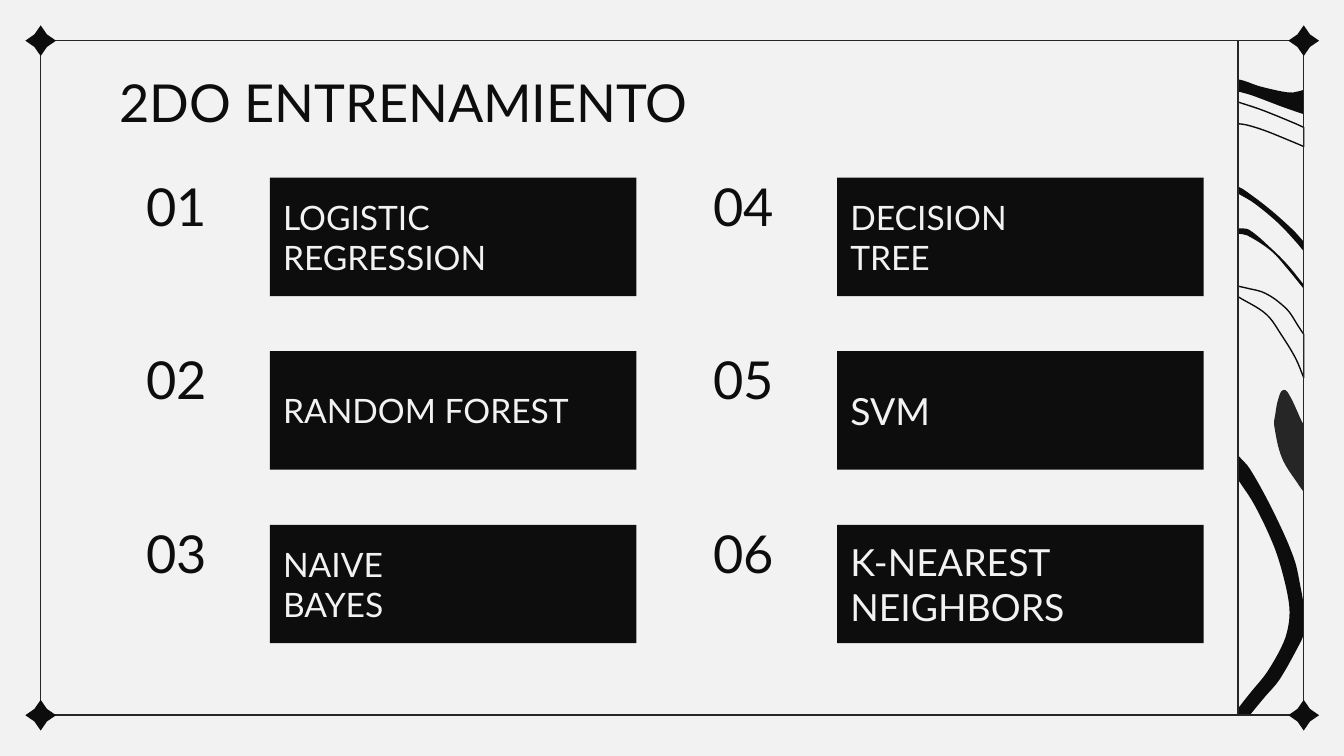
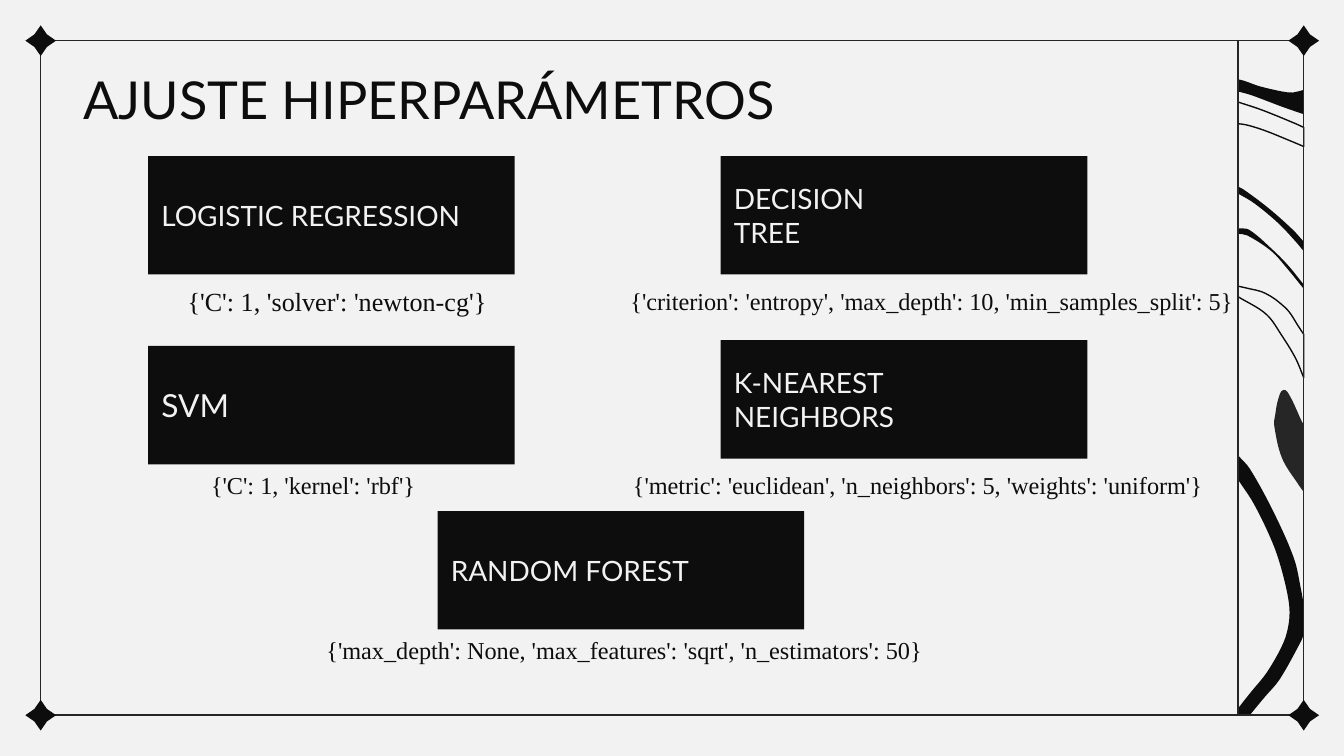
from dataclasses import dataclass
from math import dist
from lxml.etree import SubElement as Sub
from pptx import Presentation
from pptx.dml.color import RGBColor as RGB
from pptx.enum.shapes import MSO_SHAPE as Shape
from pptx.enum.text import MSO_ANCHOR as Anchor, PP_ALIGN as Align
from pptx.oxml.ns import qn
from pptx.util import Cm, Pt


@dataclass(frozen=True)
class Theme:
    paper: RGB = RGB(0xF2, 0xF2, 0xF2)
    ink: RGB = RGB(0x0D, 0x0D, 0x0D)
    gray: RGB = RGB(0x26, 0x26, 0x26)
    sans: str = "Lato"
    serif: str = "Times New Roman"
    head: int = 28
    hair: float = 0.75


T = Theme()
HEAD = {"name": T.sans, "size": Pt(T.head)}
INSET = {f"margin_{side}": Cm(0.25) for side in ("left", "top", "right", "bottom")}
CARD = (6.93, 2.24)


def put(slide, text, at, font, card=False, align=Align.LEFT, anchor=Anchor.MIDDLE):
    """Add text at (left, top, width, height) in cm, on a dark card if asked."""
    spot = [Cm(n) for n in at]
    if card:
        box = slide.shapes.add_shape(Shape.RECTANGLE, *spot)
        box.shadow.inherit = False
        box.fill.solid()
        box.fill.fore_color.rgb = T.ink
        box.line.fill.background()
    else:
        box = slide.shapes.add_textbox(*spot)
    frame = box.text_frame
    for key, value in {**INSET, "word_wrap": True, "vertical_anchor": anchor}.items():
        setattr(frame, key, value)
    frame.text = text
    for para in frame.paragraphs:
        para.alignment = align
        for key, value in font.items():
            setattr(para.font, key, value)
        para.font.color.rgb = T.paper if card else T.ink


def bend(shape, edges):
    """Turn the lines within each edge into cubic curves; edges meet in corners."""
    lines = list(shape.element.iter(qn("a:lnTo")))
    first = 0
    for edge in edges:
        ends = [edge[0], *edge, edge[-1]]
        for i, (a, b, c, d) in enumerate(zip(ends, ends[1:], ends[2:], ends[3:])):
            reach = dist(b, c) / 3
            out, back = reach / dist(a, c), reach / dist(b, d)
            knots = [
                (b[0] + (c[0] - a[0]) * out, b[1] + (c[1] - a[1]) * out),
                (c[0] - (d[0] - b[0]) * back, c[1] - (d[1] - b[1]) * back),
                c,
            ]
            line = lines[first + i]
            line.getparent().replace(line, cubic := line.makeelement(qn("a:cubicBezTo")))
            for x, y in knots:
                Sub(cubic, qn("a:pt"), x=str(Cm(x) - shape.left), y=str(Cm(y) - shape.top))
        first += len(edge)


deck = Presentation()
deck.slide_width, deck.slide_height = Cm(25.4), Cm(14.29)
blank = deck.slide_layouts[6]
for holder in list(blank.placeholders):
    holder.element.getparent().remove(holder.element)
blank.background.fill.solid()
blank.background.fill.fore_color.rgb = T.paper
train = deck.slides.add_slide(blank)
tune = deck.slides.add_slide(blank)

# Shared border: each ribbon is (fill, line, edges), in cm
LEFT, TOP, RIGHT, BASE = 0.77, 0.77, 24.64, 13.52
BAND = 23.4
RIBBONS = [
    (T.ink, None, [
        [(BAND, 1.5), (23.52, 1.53), (23.8, 1.63), (24.23, 1.73), (24.43, 1.75), (RIGHT, 1.7)],
        [(RIGHT, 2.16), (24.26, 2.03), (23.65, 1.8), (BAND, 1.73)]]),
    (None, T.ink, [
        [(BAND, 1.93), (23.85, 2.08), (24.49, 2.34), (RIGHT, 2.41)],
        [(RIGHT, 2.77), (24.33, 2.64), (23.88, 2.46), (23.55, 2.36), (BAND, 2.34)]]),
    (T.ink, None, [
        [(BAND, 3.53), (23.5, 3.58), (23.98, 3.94), (24.43, 4.34), (RIGHT, 4.57)],
        [(RIGHT, 4.75), (24.49, 4.57), (24.16, 4.22), (23.7, 3.84), (BAND, 3.66)]]),
    (T.ink, None, [
        [(BAND, 4.32), (23.6, 4.34), (24.03, 4.7), (24.33, 5), (RIGHT, 5.38)],
        [(RIGHT, 5.46), (24.33, 5.08), (24.03, 4.75), (23.57, 4.45), (BAND, 4.42)]]),
    (None, T.ink, [
        [(BAND, 5.41), (23.62, 5.46), (23.83, 5.51), (24.03, 5.61), (24.18, 5.72),
         (24.36, 5.89), (24.54, 6.17), (RIGHT, 6.32)],
        [(RIGHT, 7.14), (24.49, 6.78), (24.23, 6.35), (23.93, 5.94), (BAND, 5.61)]]),
    (T.ink, None, [
        [(BAND, 8.61), (23.62, 8.86), (24.08, 9.7), (24.46, 10.57), (24.59, 11.15),
         (RIGHT, 11.43)],
        [(RIGHT, 11.99), (24.59, 12.12), (24.18, 12.85), (23.9, 13.18), (23.62, BASE)],
        [(BAND, BASE)],
        [(BAND, 13.39), (23.62, 13.11), (23.95, 12.7), (24.26, 12.14), (24.36, 11.76),
         (24.36, 11.4), (24.23, 10.8), (24.05, 10.26), (23.7, 9.53), (BAND, 9.07)]]),
    (T.gray, None, [
        [(RIGHT, 9.3), (24.56, 9.19), (24.23, 8.66), (24.08, 8.03), (24.1, 7.85),
         (24.16, 7.54), (24.26, 7.37), (24.38, 7.49), (24.61, 7.98), (RIGHT, 8.02)]]),
]
border = train.shapes.add_group_shape()
parts = []


frame = border.shapes.add_shape(
    Shape.RECTANGLE, Cm(LEFT), Cm(TOP), Cm(RIGHT - LEFT), Cm(BASE - TOP))
parts.append((frame, None, T.gray))
for fill, line, edges in RIBBONS:
    dots = [(Cm(x), Cm(y)) for edge in edges for x, y in edge]
    pen = border.shapes.build_freeform(*dots[0])
    pen.add_line_segments(dots[1:], close=True)
    ribbon = pen.convert_to_shape()
    bend(ribbon, edges)
    parts.append((ribbon, fill, line))
strip = border.shapes.add_shape(
    Shape.RECTANGLE, Cm(BAND), Cm(TOP), Cm(RIGHT - BAND), Cm(BASE - TOP))
parts.append((strip, None, T.gray))
STAR = 0.58
for x in (RIGHT, LEFT):
    for y in (TOP, BASE):
        star = border.shapes.add_shape(
            Shape.STAR_4_POINT, Cm(x - STAR / 2), Cm(y - STAR / 2), Cm(STAR), Cm(STAR))
        star.adjustments[0] = 0.29
        parts.append((star, T.ink, None))
for part, fill, line in parts:
    part.shadow.inherit = False
    for paint, tint in ((part.fill, fill), (part.line.fill, line)):
        if tint is None:
            paint.background()
        else:
            paint.solid()
            paint.fore_color.rgb = tint
    if line is not None:
        part.line.width = Pt(T.hair)
blank.shapes.element.append(border.element)

# Slide 1: numbered models, filled column by column
put(train, "2DO ENTRENAMIENTO", (2.01, 1.07, 20.73, 1.65), HEAD, anchor=Anchor.TOP)
MODELS = [
    ("LOGISTIC REGRESSION", 18), ("RANDOM FOREST", 18), ("NAIVE\nBAYES", 18),
    ("DECISION\nTREE", 18), ("SVM", 20), ("K-NEAREST\nNEIGHBORS", 20),
]
for i, (name, size) in enumerate(MODELS):
    col, row = divmod(i, 3)
    x, y = 2 + col * 10.72, 3.15 + row * 3.28
    put(train, f"{i + 1:02}", (x, y, 2.67, 1.47), HEAD, align=Align.CENTER)
    put(train, name, (x + 3.1, y + 0.21, *CARD), {"name": T.sans, "size": Pt(size)}, card=True)

# Slide 2: each model with its best settings below
put(tune, "AJUSTE HIPERPARÁMETROS", (1.33, 1.03, 21.21, 1.65), HEAD, anchor=Anchor.TOP)
MID, START = Align.CENTER, Align.LEFT
TUNED = [
    ("LOGISTIC REGRESSION", 15, (2.8, 2.95),
     "{'C': 1, 'solver': 'newton-cg'}", 14, (1.7, 4.96, 9.35, 1.47), MID),
    ("DECISION\nTREE", 15, (13.62, 2.95),
     "{'criterion': 'entropy', 'max_depth': 10, 'min_samples_split': 5}", 13,
     (11.3, 4.96, 12.6, 1.47), MID),
    ("SVM", 17, (2.8, 6.54),
     "{'C': 1, 'kernel': 'rbf'}", 13, (3.02, 8.43, 5.79, 1.47), MID),
    ("K-NEAREST\nNEIGHBORS", 15, (13.62, 6.43),
     "{'metric': 'euclidean', 'n_neighbors': 5, 'weights': 'uniform'}", 13,
     (11.3, 8.43, 12.07, 1.47), MID),
    ("RANDOM FOREST", 15, (8.27, 9.66),
     "{'max_depth': None, 'max_features': 'sqrt', 'n_estimators': 50}", 13,
     (5.92, 11.04, 13.56, 2.49), START),
]
for name, size, spot, best, small, at, align in TUNED:
    put(tune, name, (*spot, *CARD), {"name": T.sans, "size": Pt(size)}, card=True)
    put(tune, best, at, {"name": T.serif, "size": Pt(small)}, align=align)

deck.save("out.pptx")
